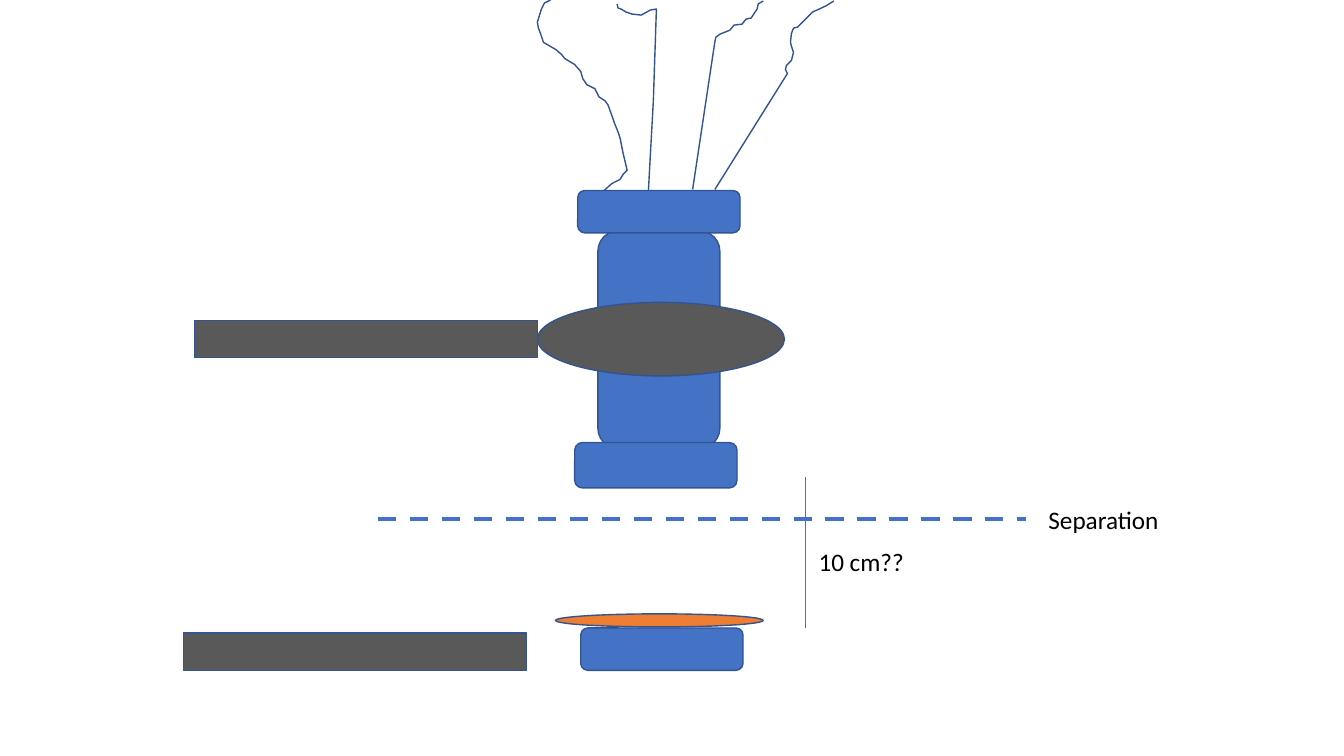
from lxml.etree import SubElement
from pptx import Presentation
from pptx.dml.color import RGBColor
from pptx.enum.dml import MSO_LINE
from pptx.enum.shapes import MSO_CONNECTOR, MSO_SHAPE
from pptx.oxml.ns import qn
from pptx.util import Inches, Pt

BLUE, OUTLINE, GREY, ORANGE, BLACK = "4472C4", "325491", "595959", "ED7D31", "000000"
ROUND, RECT, OVAL = MSO_SHAPE.ROUNDED_RECTANGLE, MSO_SHAPE.RECTANGLE, MSO_SHAPE.OVAL
CAP_W, CAP_H = 1.61, 0.42
ARM_W, ARM_H = 3.4, 0.37

# Wire points in inches from the top left corner of the wire region
WIRES = [
    [(0.64, 1.91), (0.74, 1.82), (0.82, 1.78), (0.85, 1.73), (0.89, 1.69),
     (0.85, 1.52), (0.83, 1.42), (0.82, 1.37), (0.8, 1.31), (0.76, 1.21),
     (0.74, 1.15), (0.7, 1.04), (0.67, 1), (0.61, 0.96), (0.57, 0.88),
     (0.49, 0.84), (0.45, 0.78), (0.43, 0.71), (0.37, 0.64), (0.27, 0.58),
     (0.24, 0.54), (0.18, 0.49), (0.06, 0.42), (0.03, 0.33), (0.01, 0.28),
     (0, 0.22), (0.04, 0.09), (0.07, 0.03), (0.13, 0)],
    [(1.1, 1.91), (1.15, 1), (1.18, 0.09), (1.12, 0.1), (1.03, 0.15),
     (0.94, 0.14), (0.88, 0.12), (0.83, 0.09), (0.8, 0.08), (0.79, 0.04)],
    [(1.54, 1.88), (1.76, 0.42), (1.77, 0.37), (1.81, 0.34), (1.91, 0.3),
     (1.95, 0.25), (2.03, 0.24), (2.07, 0.19), (2.12, 0.18), (2.18, 0.09),
     (2.19, 0.04), (2.24, 0.01)],
    [(1.76, 1.88), (2.48, 0.73), (2.46, 0.69), (2.47, 0.65), (2.52, 0.6),
     (2.54, 0.52), (2.52, 0.46), (2.51, 0.42), (2.52, 0.33), (2.54, 0.28),
     (2.58, 0.27), (2.65, 0.2), (2.73, 0.12), (2.86, 0.06), (2.94, 0.01)],
]


def rgb(hex_color):
    return RGBColor.from_string(hex_color)


def outline(sp):
    sp.shadow.inherit = False
    sp.line.color.rgb = rgb(OUTLINE)
    sp.line.width = Pt(1)


def add_part(s, kind, x, y, w, h, fill):
    sp = s.shapes.add_shape(kind, *map(Inches, (x, y, w, h)))
    sp.fill.solid()
    sp.fill.fore_color.rgb = rgb(fill)
    outline(sp)


def add_line(s, x1, y1, x2, y2, **formats):
    line = s.shapes.add_connector(MSO_CONNECTOR.STRAIGHT, *map(Inches, (x1, y1, x2, y2)))
    line.line.color.rgb = rgb(BLUE)
    for name, value in formats.items():
        setattr(line.line, name, value)
    SubElement(line._element.spPr, qn("a:effectLst"))


def add_label(s, x, y, w, h, text):
    tf = s.shapes.add_textbox(*map(Inches, (x, y, w, h))).text_frame
    tf.word_wrap = False
    r = tf.paragraphs[0].add_run()
    r.text = text
    for name, value in {"name": "Calibri", "size": Pt(18)}.items():
        setattr(r.font, name, value)
    r.font.color.rgb = rgb(BLACK)


def draw_wires(s, x, y):
    for points in WIRES:
        start, *rest = [(Inches(x + dx), Inches(y + dy)) for dx, dy in points]
        builder = s.shapes.build_freeform(*start)
        builder.add_line_segments(rest, close=False)
        wire = builder.convert_to_shape()
        wire.fill.background()
        outline(wire)


def draw_upper_unit(s, x, y):
    # Body between two caps
    add_part(s, ROUND, x + 0.23, y + 0.4, 1.21, 2.16, BLUE)
    add_part(s, ROUND, x, y + 2.5, CAP_W, 0.45, BLUE)
    add_part(s, ROUND, x + 0.03, y, CAP_W, CAP_H, BLUE)
    # Arm and clamp
    add_part(s, RECT, x - 3.77, y + 1.29, ARM_W, ARM_H, GREY)
    add_part(s, OVAL, x - 0.37, y + 1.11, 2.45, 0.73, GREY)


def draw_lower_unit(s, x, y):
    add_part(s, ROUND, x, y, CAP_W, CAP_H, BLUE)
    add_part(s, RECT, x - 3.94, y + 0.05, ARM_W, ARM_H, GREY)
    add_part(s, OVAL, x - 0.25, y - 0.14, 2.06, 0.13, ORANGE)


def draw_gap(s, x, y, w):
    # Separation plane
    add_line(s, x, y, x + w, y, width=Pt(3.25), dash_style=MSO_LINE.DASH)
    add_label(s, x + w + 0.12, y - 0.2, 1.31, 0.4, "Separation")
    # Distance mark
    mark = x + 4.24
    add_line(s, mark, y - 0.42, mark, y + 1.08, width=Pt(0.5))
    add_label(s, mark + 0.03, y + 0.22, 1.06, 0.4, "10 cm??")


def main():
    prs = Presentation()
    prs.slide_width, prs.slide_height = Inches(13.33), Inches(7.5)
    s = prs.slides.add_slide(prs.slide_layouts[6])
    draw_wires(s, 5.33, 0)
    draw_upper_unit(s, 5.7, 1.89)
    draw_lower_unit(s, 5.76, 6.23)
    draw_gap(s, 3.75, 5.15, 6.43)
    prs.save("out.pptx")


if __name__ == "__main__":
    main()
